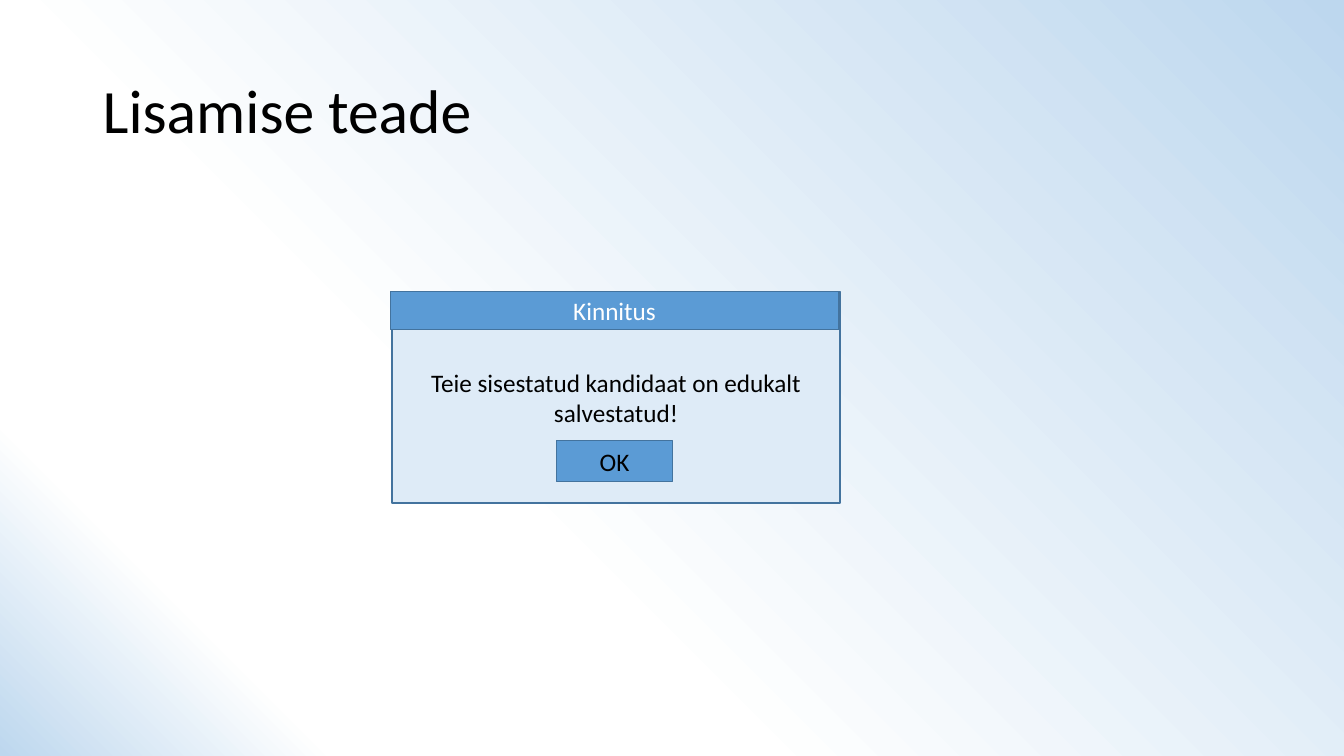
"""Build the slide with the notice shown after a candidate is added."""
from copy import deepcopy
from pptx import Presentation, util as u
from pptx.dml.color import RGBColor
from pptx.enum import shapes, text

theme = {
    "font": "Calibri", "head": 44, "body": 18,
    "black": "000000", "white": "FFFFFF", "pale": "DEEBF7",
    "blue": "5B9BD5", "edge": "43739E", "sky": "BDD7EE",
}


def tint(name):
    return RGBColor.from_string(theme[name])


def write(shape, words, size, ink, align):
    frame = shape.text_frame
    frame.word_wrap = True
    frame.vertical_anchor = text.MSO_ANCHOR.MIDDLE
    para = frame.paragraphs[0]
    para.text = words
    para.alignment = align
    para.font.name = theme["font"]
    para.font.size = u.Pt(theme[size])
    para.font.color.rgb = tint(ink)
    return para


deck = Presentation()
deck.slide_width, deck.slide_height = u.Inches(13.33), u.Inches(7.5)
slide = deck.slides.add_slide(deck.slide_layouts[6])

fill = slide.background.fill
fill.gradient()
fill.gradient_angle = 225
stops = slide.element.xpath(".//a:gsLst")[0]
for _ in range(2):
    stops.append(deepcopy(stops[0]))
fade = [(0, "sky"), (0.64, "white"), (0.84, "white"), (1, "sky")]
for stop, (place, name) in zip(fill.gradient_stops, fade):
    stop.position = place
    stop.color.rgb = tint(name)

title = slide.shapes.add_textbox(*map(u.Inches, (0.92, 0.4, 11.5, 1.45)))
para = write(title, "Lisamise teade", "head", "black", text.PP_ALIGN.LEFT)
para.line_spacing = 0.9

dialog = slide.shapes.add_group_shape()
parts = [
    ("Teie sisestatud kandidaat on edukalt salvestatud!",
     (3.89, 2.89, 4.44, 2.1), "pale", "black"),
    ("Kinnitus", (3.87, 2.89, 4.45, 0.38), "blue", "white"),
    ("OK", (5.52, 4.37, 1.15, 0.41), "blue", "black"),
]
for words, box, back, ink in parts:
    part = dialog.shapes.add_shape(
        shapes.MSO_SHAPE.RECTANGLE, *map(u.Inches, box))
    part.shadow.inherit = False
    part.fill.solid()
    part.fill.fore_color.rgb = tint(back)
    part.line.color.rgb = tint("edge")
    part.line.width = u.Pt(1)
    write(part, words, "body", ink, text.PP_ALIGN.CENTER)

deck.save("out.pptx")
